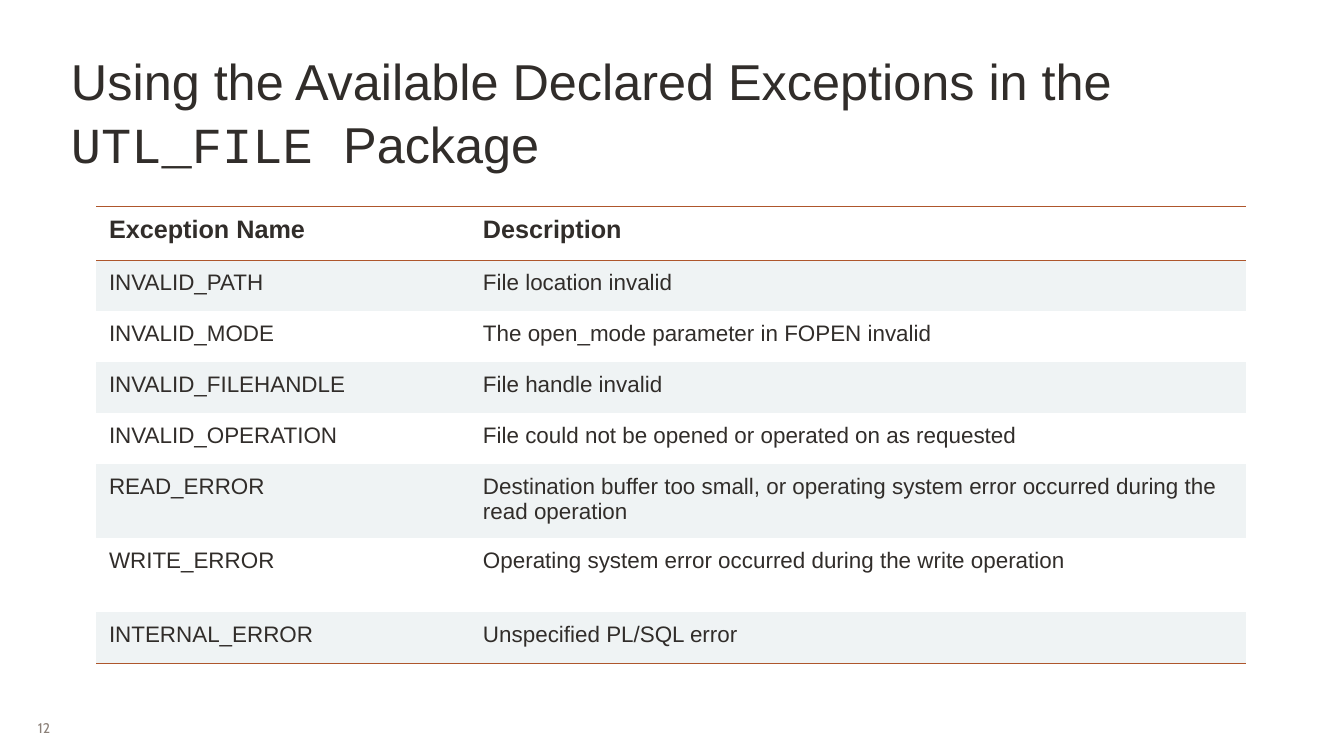
from dataclasses import dataclass

from lxml.etree import SubElement
from pptx import Presentation
from pptx.dml.color import RGBColor
from pptx.enum.text import MSO_ANCHOR
from pptx.oxml.ns import qn
from pptx.util import Pt

TITLE = [
    ("Using the Available Declared Exceptions in the ", "Arial"),
    ("UTL_FILE ", "Courier New"),
    ("Package", "Arial"),
]
PAGE_NUMBER = "12"
HEADINGS = ("Exception Name", "Description")
EXCEPTIONS = [
    ("INVALID_PATH", "File location invalid"),
    ("INVALID_MODE", "The open_mode parameter in FOPEN invalid"),
    ("INVALID_FILEHANDLE", "File handle invalid"),
    ("INVALID_OPERATION", "File could not be opened or operated on as requested"),
    ("READ_ERROR", "Destination buffer too small, or operating system error "
                   "occurred during the read operation"),
    ("WRITE_ERROR", "Operating system error occurred during the write operation"),
    ("INTERNAL_ERROR", "Unspecified PL/SQL error"),
]
COLUMN_WIDTHS = (374, 776)
HEADING_HEIGHT, ROW_HEIGHT, TALL_ROW_HEIGHT = 54, 51, 74
TALL_ROWS = ("READ_ERROR", "WRITE_ERROR")


@dataclass(frozen=True)
class Theme:
    ink: str = "312D2A"
    muted: str = "8B8078"
    rule: str = "AE562C"
    band: str = "EFF3F4"
    body_font: str = "Arial"
    number_font: str = "Cabin"
    title_size: int = 54
    heading_size: int = 27
    body_size: int = 24
    number_size: int = 15


THEME = Theme()


def px(length):
    return round(length * 914400 / 67.2)


def add_span(para, text, font, size, color, bold=False):
    span = para.add_run()
    span.text = text
    span.font.name = font
    span.font.size = Pt(size)
    span.font.bold = bold
    span.font.color.rgb = RGBColor.from_string(color)


def set_margins(target, across, down):
    target.margin_left = target.margin_right = px(across)
    target.margin_top = target.margin_bottom = px(down)


def add_box(page, place, across, down, wrap):
    frame = page.shapes.add_textbox(*map(px, place)).text_frame
    set_margins(frame, across, down)
    frame.word_wrap = wrap
    return frame


def set_borders(cell, ruled):
    """Rule the named sides of a cell and clear the others."""
    properties = cell._tc.get_or_add_tcPr()
    for position, side in enumerate(("lnL", "lnR", "lnT", "lnB")):
        line = properties.makeelement(qn("a:" + side), {"w": str(Pt(1))})
        properties.insert(position, line)
        if side in ruled:
            fill = SubElement(line, qn("a:solidFill"))
            SubElement(fill, qn("a:srgbClr"), val=THEME.rule)
        else:
            SubElement(line, qn("a:noFill"))


def add_exception_table(page):
    rows = [HEADINGS, *EXCEPTIONS]
    heights = [HEADING_HEIGHT] + [
        TALL_ROW_HEIGHT if name in TALL_ROWS else ROW_HEIGHT
        for name, _ in EXCEPTIONS]
    table = page.shapes.add_table(
        len(rows), len(HEADINGS), px(96), px(206),
        px(sum(COLUMN_WIDTHS)), px(sum(heights))).table
    table.horz_banding = False
    table.first_row = False
    for column, width in zip(table.columns, COLUMN_WIDTHS):
        column.width = px(width)

    for index, (texts, height) in enumerate(zip(rows, heights)):
        table.rows[index].height = px(height)
        heading = index == 0
        ruled = {0: ("lnT", "lnB"), 1: ("lnT",), len(rows) - 1: ("lnB",)}.get(index, ())
        size = THEME.heading_size if heading else THEME.body_size
        for cell, text in zip(table.rows[index].cells, texts):
            set_margins(cell, 13, 10)
            if index % 2:
                cell.fill.solid()
                cell.fill.fore_color.rgb = RGBColor.from_string(THEME.band)
            else:
                cell.fill.background()
            set_borders(cell, ruled)
            add_span(cell.text_frame.paragraphs[0], text, THEME.body_font,
                     size, THEME.ink, heading)


def main():
    deck = Presentation()
    deck.slide_width, deck.slide_height = px(1344), px(756)
    page = deck.slides.add_slide(deck.slide_layouts[6])

    number = add_box(page, (29, 708, 44, 39), 9, 5, False)
    number.vertical_anchor = MSO_ANCHOR.MIDDLE
    add_span(number.paragraphs[0], PAGE_NUMBER, THEME.number_font,
             THEME.number_size, THEME.muted)

    title = add_box(page, (69, 45, 1207, 86), 2, 2, True)
    title.paragraphs[0].line_spacing = 1.05
    for text, font in TITLE:
        add_span(title.paragraphs[0], text, font, THEME.title_size, THEME.ink)

    add_exception_table(page)
    deck.save("out.pptx")


if __name__ == "__main__":
    main()
